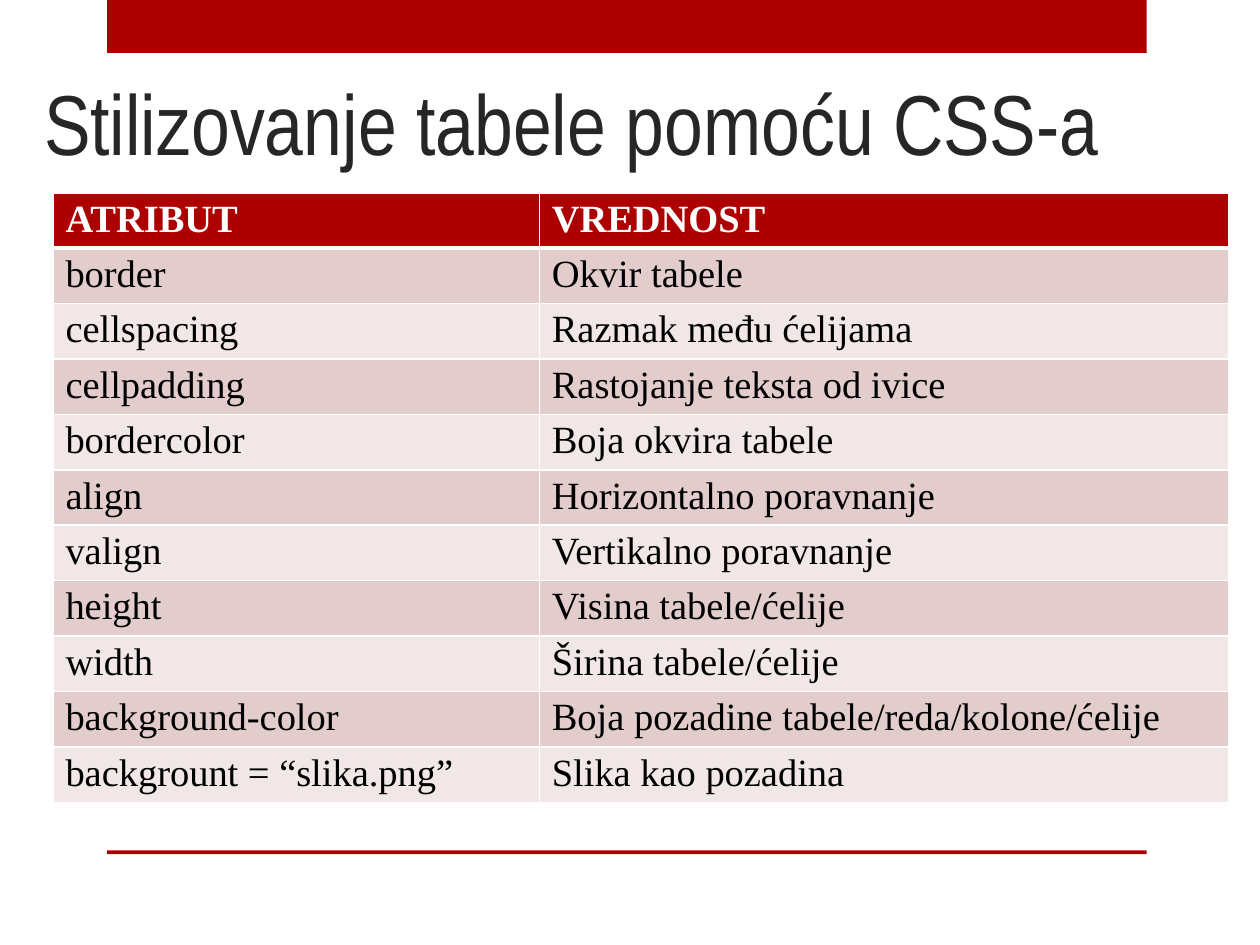
from lxml import etree
from pptx import Presentation
from pptx.dml.color import RGBColor
from pptx.enum import shapes, text
from pptx.oxml import ns
from pptx.util import Inches, Pt

RED = RGBColor(0xAD, 0x01, 0x01)
ROSE = RGBColor(0xE3, 0xCC, 0xCC)
PALE_ROSE = RGBColor(0xF1, 0xE7, 0xE7)
CHARCOAL = RGBColor(0x26, 0x26, 0x26)
BLACK = RGBColor(0, 0, 0)
WHITE = RGBColor(0xFF, 0xFF, 0xFF)

COLUMN_WIDTHS = (3.86, 5.47)
ROW_HEIGHT = 0.44
ROWS = (
    ("ATRIBUT", "VREDNOST"),
    ("border", "Okvir tabele"),
    ("cellspacing", "Razmak među ćelijama"),
    ("cellpadding", "Rastojanje teksta od ivice"),
    ("bordercolor", "Boja okvira tabele"),
    ("align", "Horizontalno poravnanje"),
    ("valign", "Vertikalno poravnanje"),
    ("height", "Visina tabele/ćelije"),
    ("width", "Širina tabele/ćelije"),
    ("background-color", "Boja pozadine tabele/reda/kolone/ćelije"),
    ("backgrount = “slika.png”", "Slika kao pozadina"),
)


def write_text(frame, content, *, font, size, color, bold=False):
    paragraph = frame.paragraphs[0]
    paragraph.alignment = text.PP_ALIGN.LEFT
    run = paragraph.add_run()
    run.text = content
    run.font.name = font
    run.font.size = Pt(size)
    run.font.bold = bold
    run.font.color.rgb = color


def add_bar(slide, top, height):
    shape = slide.shapes.add_shape(
        shapes.MSO_SHAPE.RECTANGLE, Inches(0.85), Inches(top), Inches(8.25), Inches(height)
    )
    shape.shadow.inherit = False
    shape.fill.solid()
    shape.fill.fore_color.rgb = RED
    shape.line.fill.background()


def set_title(slide, content):
    title = slide.shapes.title
    title.left, title.top = Inches(0.25), Inches(0.42)
    title.width, title.height = Inches(9.5), Inches(1)
    frame = title.text_frame
    frame.auto_size = text.MSO_AUTO_SIZE.NONE
    frame.vertical_anchor = text.MSO_ANCHOR.BOTTOM
    write_text(frame, content, font="Arial Narrow", size=48.6, color=CHARCOAL)


def set_borders(cell, color, widths):
    properties = cell._tc.get_or_add_tcPr()
    for index, (side, width) in enumerate(widths.items()):
        line = etree.Element(ns.qn(f"a:{side}"), w=str(Pt(width)))
        fill = etree.SubElement(line, ns.qn("a:solidFill"))
        etree.SubElement(fill, ns.qn("a:srgbClr"), val=str(color))
        properties.insert(index, line)


def format_cell(cell, content, row):
    is_header = row == 0
    cell.margin_top = cell.margin_bottom = Inches(0.04)
    cell.fill.solid()
    cell.fill.fore_color.rgb = RED if is_header else (PALE_ROSE, ROSE)[row % 2]
    set_borders(
        cell,
        WHITE,
        {"lnL": 1, "lnR": 1, "lnT": 3 if row == 1 else 1, "lnB": 3 if is_header else 1},
    )
    write_text(
        cell.text_frame,
        content,
        font="Times New Roman",
        size=22,
        color=WHITE if is_header else BLACK,
        bold=is_header,
    )


def add_attribute_table(slide):
    table = slide.shapes.add_table(
        len(ROWS),
        len(COLUMN_WIDTHS),
        Inches(0.42),
        Inches(1.53),
        Inches(sum(COLUMN_WIDTHS)),
        Inches(ROW_HEIGHT * len(ROWS)),
    ).table
    for column, width in zip(table.columns, COLUMN_WIDTHS):
        column.width = Inches(width)
    for row, contents in enumerate(ROWS):
        table.rows[row].height = Inches(ROW_HEIGHT)
        for column, content in enumerate(contents):
            format_cell(table.cell(row, column), content, row)


def main():
    presentation = Presentation()
    presentation.slide_width = Inches(10)
    presentation.slide_height = Inches(7.5)
    slide = presentation.slides.add_slide(presentation.slide_layouts[5])
    add_bar(slide, 0, 0.42)
    add_bar(slide, 6.75, 0.03)
    set_title(slide, "Stilizovanje tabele pomoću CSS-a")
    add_attribute_table(slide)
    presentation.save("out.pptx")


if __name__ == "__main__":
    main()
